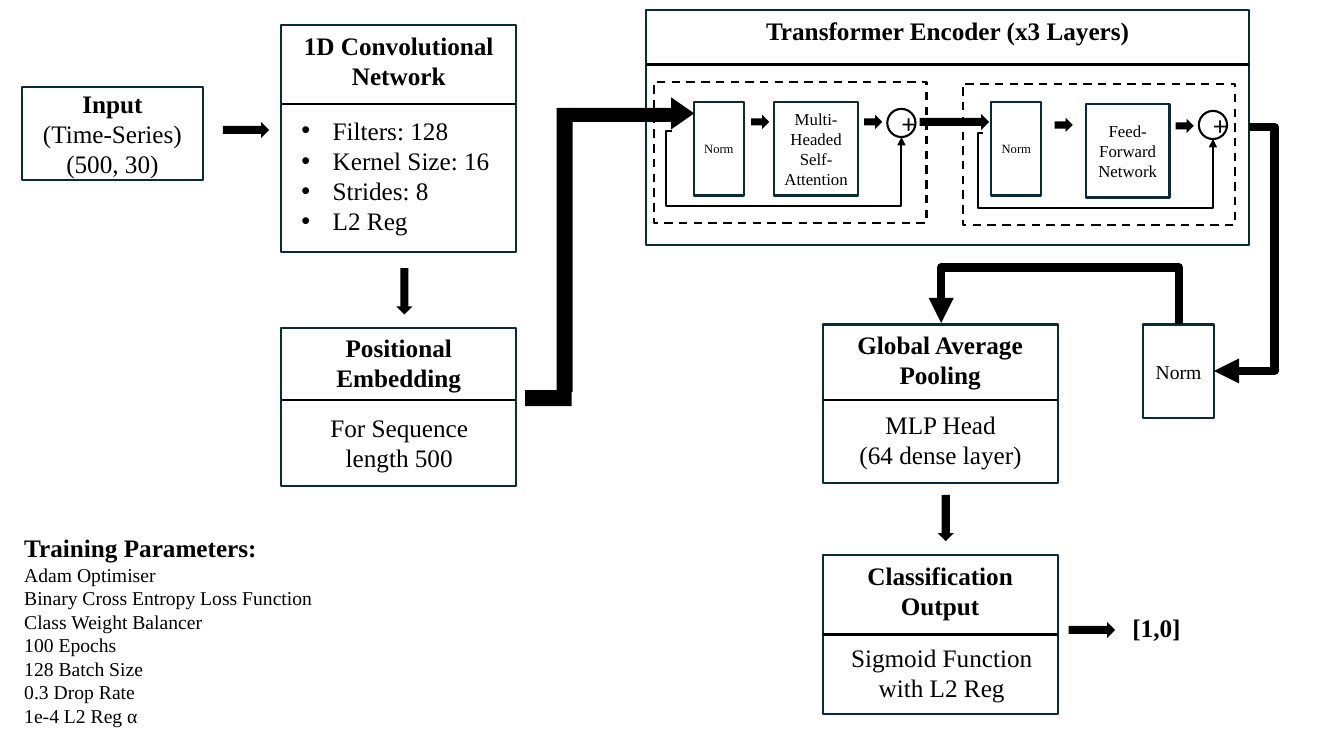
from lxml import etree
from pptx import Presentation
from pptx.dml.color import RGBColor
from pptx.enum import dml, shapes, text
from pptx.oxml.ns import qn
from pptx.util import Inches, Pt

BLACK = RGBColor(0x00, 0x00, 0x00)
NAVY = RGBColor(0x09, 0x2A, 0x39)
SERIF, SANS = "Times New Roman", "Lato"
KIND = shapes.MSO_SHAPE
CENTER, LEFT = text.PP_ALIGN.CENTER, text.PP_ALIGN.LEFT
TOP, MIDDLE = text.MSO_ANCHOR.TOP, text.MSO_ANCHOR.MIDDLE
CARD_WIDTH, CARD_HEIGHT = 2.33, 1.57


def inches(values):
    return [Inches(value) for value in values]


def write(box, lines, anchor=TOP, align=CENTER, font=SERIF, inset=0.1):
    """Fill a shape with (words, size, bold) lines, one paragraph each."""
    frame = box.text_frame
    frame.word_wrap = True
    frame.auto_size = text.MSO_AUTO_SIZE.NONE
    frame.vertical_anchor = anchor
    frame.margin_left = frame.margin_right = Inches(inset)
    for index, (words, size, bold) in enumerate(lines):
        para = frame.add_paragraph() if index else frame.paragraphs[0]
        para.alignment = align
        para.space_before = Pt(0)
        span = para.add_run()
        span.text = words
        span.font.name = font
        span.font.size = Pt(size)
        span.font.bold = bold
        span.font.color.rgb = BLACK


def add_outline(page, at, color=NAVY, kind=KIND.RECTANGLE, dashed=False):
    box = page.shapes.add_shape(kind, *inches(at))
    box.shadow.inherit = False
    box.fill.background()
    box.line.color.rgb = color
    box.line.width = Pt(1.5)
    if dashed:
        box.line.dash_style = dml.MSO_LINE.DASH
    return box


def add_solid(page, at, kind=KIND.RIGHT_ARROW, rotation=0):
    solid = page.shapes.add_shape(kind, *inches(at))
    solid.shadow.inherit = False
    solid.fill.solid()
    solid.fill.fore_color.rgb = BLACK
    solid.line.fill.background()
    solid.rotation = rotation


def add_label(page, at, lines):
    write(page.shapes.add_textbox(*inches(at)), lines)


def add_line(page, kind, ends, width=1.5):
    line = page.shapes.add_connector(kind, *inches(ends))
    line.line.color.rgb = BLACK
    line.line.width = Pt(width)
    etree.SubElement(line._element.spPr, qn("a:effectLst"))
    return line


def add_card(page, at, heading, divider, halved=False):
    """Box with a bold heading above a dividing line."""
    left, top, width, height = at
    box = add_outline(page, at)
    write(box, [(heading, 18, True)])
    line = add_line(page, shapes.MSO_CONNECTOR.STRAIGHT,
                    (left, divider, left + width, divider))
    if halved:
        line.begin_connect(box, 1)
        line.end_connect(box, 3)


def add_elbow(page, at, preset, adjusts, width, rotation=0, flips=()):
    """Bent arrow; adjusts place its bends as fractions of its own box."""
    left, top, across, down = at
    arrow = add_line(page, shapes.MSO_CONNECTOR.ELBOW,
                     (left, top, left + across, top + down), width)
    properties = arrow._element.spPr
    frame = properties.find(qn("a:xfrm"))
    frame.set("rot", str(rotation * 60000))
    for flip in flips:
        frame.set(flip, "1")
    geometry = properties.find(qn("a:prstGeom"))
    geometry.set("prst", preset)
    guides = geometry.find(qn("a:avLst"))
    if guides is None:
        guides = etree.SubElement(geometry, qn("a:avLst"))
    for number, adjust in enumerate(adjusts, 1):
        etree.SubElement(guides, qn("a:gd"), name=f"adj{number}",
                         fmla=f"val {round(adjust * 100000)}")
    etree.SubElement(properties.find(qn("a:ln")), qn("a:tailEnd"), type="triangle")


def add_list(holder, at, lines, bulleted=False):
    holder.left, holder.top, holder.width, holder.height = inches(at)
    write(holder, lines, align=LEFT)
    indent = Inches(0.31) if bulleted else 0
    for para in holder.text_frame.paragraphs:
        properties = para._p.get_or_add_pPr()
        properties.set("marL", str(indent))
        properties.set("indent", str(-indent))
        if bulleted:
            etree.SubElement(properties, qn("a:buFont"), typeface="Arial")
            etree.SubElement(properties, qn("a:buChar"), char="•")
        else:
            etree.SubElement(properties, qn("a:buNone"))


def add_block(page, left, top, layer, layer_at, arrows):
    """Residual block of the encoder: norm, layer, sum and skip path."""
    add_outline(page, (left, top, 2.7, 1.4), BLACK, dashed=True)
    norm = add_outline(page, (left + (0.39 if left < 9 else 0.28), 1.01, 0.5, 0.93))
    write(norm, [("Norm", 9, False)], MIDDLE, inset=0.05)
    write(add_outline(page, layer_at), [(layer, 12, False)], MIDDLE, inset=0.05)
    for arrow_left, arrow_top in arrows:
        add_solid(page, (arrow_left, arrow_top, 0.18, 0.14))
    layer_left, layer_top = layer_at[:2]
    total = add_outline(page, (layer_left + 1.12, layer_top + 0.07, 0.28, 0.28),
                        BLACK, KIND.OVAL)
    write(total, [("+", 18, False)], MIDDLE, font=SANS)
    add_elbow(page, (layer_left - 1.02, layer_top + 0.29 + top - 0.81
                     - (layer_top - 1.01), 2.28, 0.06),
              "bentConnector4", (-0.024, 12.45), 1.5, 180, ("flipH", "flipV"))


def add_encoder(page):
    add_card(page, (6.41, 0.1, 5.98, 2.33), "Transformer Encoder (x3 Layers)", 0.64)
    add_block(page, 6.49, 0.81, "Multi-Headed Self-Attention",
              (7.68, 1.01, 0.83, 0.93), [(7.45, 1.14), (8.57, 1.14)])
    add_block(page, 9.55, 0.83, "Feed-Forward Network",
              (10.77, 1.03, 0.83, 0.93), [(10.46, 1.17), (11.66, 1.18)])
    add_solid(page, (9.12, 1.13, 0.69, 0.16))


def add_flow(page):
    """Arrows between the stages."""
    for left, top, rotation in [(2.21, 1.21, 0), (3.78, 2.81, 90),
                                (9.15, 5.06, 90), (10.6, 6.17, 0)]:
        add_solid(page, (left, top, 0.46, 0.16), rotation=rotation)
    for at in [(5.21, 3.87, 0.46, 0.16), (5.52, 1.07, 0.16, 2.82),
               (5.67, 1.07, 1, 0.14)]:
        add_solid(page, at, KIND.RECTANGLE)
    add_solid(page, (6.61, 1.01, 0.32, 0.23), KIND.ISOSCELES_TRIANGLE, 90)
    add_elbow(page, (12.04, 1.26, 0.35, 2.42), "bentConnector3", [-0.72], 6,
              flips=["flipH"])
    add_elbow(page, (10.51, 2.03, 0.01, 2.36), "bentConnector3", [57], 6, 270,
              ["flipV"])


def main():
    deck = Presentation()
    deck.slide_width, deck.slide_height = Inches(13.33), Inches(7.5)
    page = deck.slides.add_slide(deck.slide_layouts.get_by_name("Two Content"))
    title, filters, training = page.placeholders
    title._element.getparent().remove(title._element)

    write(add_outline(page, (0.22, 0.86, 1.79, 0.93)),
          [("Input", 18, True), ("(Time-Series)", 18, False),
           ("(500, 30)", 18, False)], MIDDLE)

    add_card(page, (2.79, 0.25, CARD_WIDTH, 2.25), "1D Convolutional Network", 1.03)
    add_list(filters, (2.89, 1.09, 2.14, 1.92),
             [(words, 18, False) for words in
              ("Filters: 128", "Kernel Size: 16", "Strides: 8", "L2 Reg")], True)

    add_card(page, (2.79, 3.25, CARD_WIDTH, CARD_HEIGHT), "Positional Embedding", 3.97)
    add_label(page, (2.89, 4.04, 2.14, 0.71), [("For Sequence length 500", 18, False)])

    add_encoder(page)
    write(add_outline(page, (11.34, 3.22, 0.7, 0.93)), [("Norm", 14, False)],
          MIDDLE, inset=0.05)

    add_card(page, (8.16, 3.22, CARD_WIDTH, CARD_HEIGHT), "Global Average Pooling", 3.97)
    add_label(page, (8.26, 4.01, 2.14, 0.71),
              [("MLP Head", 18, False), ("(64 dense layer)", 18, False)])

    add_card(page, (8.16, 5.51, CARD_WIDTH, CARD_HEIGHT), "Classification Output",
             6.3, halved=True)
    add_label(page, (8.27, 6.32, 2.14, 0.71),
              [("Sigmoid Function with L2 Reg", 18, False)])
    add_label(page, (10.86, 6.03, 1.22, 0.4), [("[1,0]", 18, True)])

    add_list(training, (0.14, 5.23, 3.68, 2.05),
             [("Training Parameters:", 18, True)] + [(words, 14, False) for words in (
                 "Adam Optimiser", "Binary Cross Entropy Loss Function",
                 "Class Weight Balancer", "100 Epochs", "128 Batch Size",
                 "0.3 Drop Rate", "1e-4 L2 Reg α")])
    add_flow(page)
    deck.save("out.pptx")


if __name__ == "__main__":
    main()
